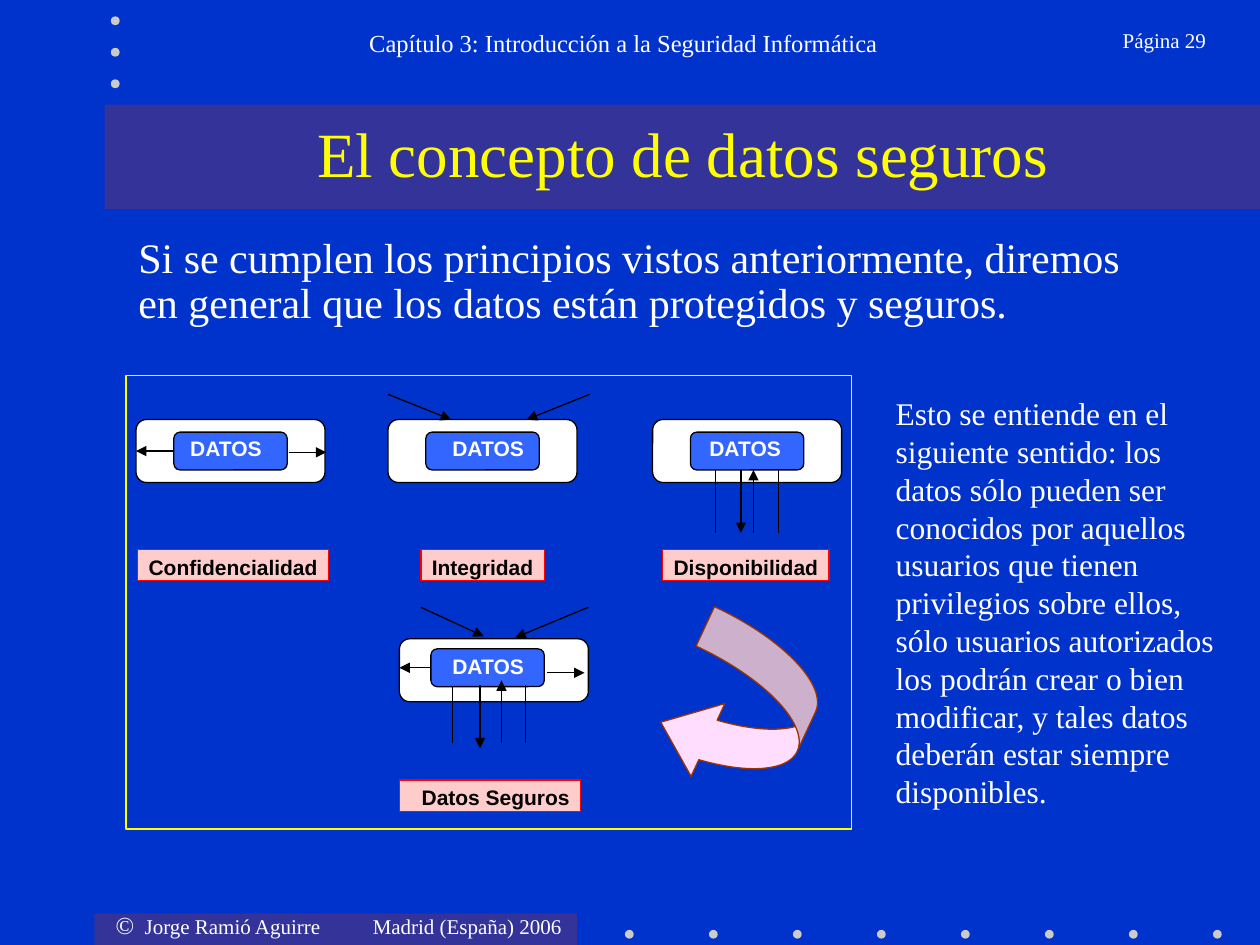
from dataclasses import dataclass

from lxml.etree import SubElement
from pptx import Presentation
from pptx.dml.color import RGBColor
from pptx.enum.shapes import MSO_CONNECTOR as Connector, MSO_SHAPE as Shape
from pptx.enum.text import MSO_ANCHOR as Anchor, PP_ALIGN as Align
from pptx.oxml.ns import qn
from pptx.util import Inches, Pt

BLUE, BAND, DOT = "0033CC", "333399", "CBCBCB"
WHITE, BLACK, YELLOW = "FFFFFF", "000000", "FFFF00"
SERIF, SANS = "Times New Roman", "Arial"
MARGINS = (0.1, 0.05)
DOT_SIZE = 0.07


@dataclass
class Label:
    text: str
    left: float
    top: float
    width: float
    indent: float = 0


@dataclass
class Line:
    start: tuple[float, float]
    end: tuple[float, float]
    arrow: bool = True


@dataclass
class DataBlock:
    shell: tuple[float, float]
    core: tuple[float, float]
    text: tuple[float, float]
    lines: list[Line]


LABELS = [
    Label("Confidencialidad", 1.09, 4.36, 1.52),
    Label("Integridad", 3.34, 4.36, 0.98),
    Label("Disponibilidad", 5.26, 4.36, 1.32),
    Label("Datos Seguros", 3.17, 6.19, 1.44, indent=0.09),
]

BLOCKS = [
    # Confidentiality
    DataBlock((1.08, 3.33), (1.38, 3.43), (1.51, 3.46), [
        Line((1.38, 3.58), (1.08, 3.58)),
        Line((2.29, 3.59), (2.59, 3.59)),
    ]),
    # Integrity
    DataBlock((3.08, 3.33), (3.38, 3.43), (3.59, 3.46), [
        Line((4.68, 3.13), (4.18, 3.33)),
        Line((3.08, 3.13), (3.58, 3.33)),
    ]),
    # Availability
    DataBlock((5.18, 3.33), (5.48, 3.43), (5.63, 3.46), [
        Line((5.88, 3.73), (5.88, 4.23)),
        Line((5.98, 4.23), (5.98, 3.73)),
        Line((5.68, 3.73), (5.68, 4.23), arrow=False),
        Line((6.18, 3.73), (6.18, 4.23), arrow=False),
    ]),
    # Secure data: all three together
    DataBlock((3.17, 5.07), (3.42, 5.15), (3.59, 5.19), [
        Line((3.34, 4.82), (3.84, 5.05)),
        Line((4.67, 4.82), (4.09, 5.06)),
        Line((3.59, 5.45), (3.59, 5.9), arrow=False),
        Line((4.17, 5.44), (4.17, 5.9), arrow=False),
        Line((3.42, 5.3), (3.17, 5.3)),
        Line((4.34, 5.34), (4.64, 5.34)),
        Line((3.81, 5.44), (3.81, 5.94)),
        Line((3.98, 5.9), (3.98, 5.4)),
    ]),
]


def color(value: str) -> RGBColor:
    return RGBColor.from_string(value)


def add_box(page, kind, left: float, top: float, width: float, height: float,
            fill: str | None = None, line: str | None = None):
    box = page.shapes.add_shape(kind, Inches(left), Inches(top), Inches(width), Inches(height))
    box.shadow.inherit = False
    if fill:
        box.fill.solid()
        box.fill.fore_color.rgb = color(fill)
    else:
        box.fill.background()
    if line:
        box.line.color.rgb = color(line)
        box.line.width = Pt(0.75)
    else:
        box.line.fill.background()
    return box


def set_frame(box, margins: tuple[float, float] = (0, 0), wrap: bool = True, anchor=Anchor.TOP):
    frame = box.text_frame
    frame.margin_left = frame.margin_right = Inches(margins[0])
    frame.margin_top = frame.margin_bottom = Inches(margins[1])
    frame.word_wrap = wrap
    frame.vertical_anchor = anchor
    return frame.paragraphs[0]


def set_font(font, size: float, name: str = SERIF, ink: str = WHITE, bold: bool = False) -> None:
    font.size, font.name, font.bold = Pt(size), name, bold
    font.color.rgb = color(ink)


def add_text(page, text: str, left: float, top: float, width: float, height: float,
             size: float, align=Align.LEFT, ink: str = WHITE, anchor=Anchor.TOP):
    box = page.shapes.add_textbox(Inches(left), Inches(top), Inches(width), Inches(height))
    para = set_frame(box, MARGINS, anchor=anchor)
    para.text = text
    para.alignment = align
    set_font(para.font, size, ink=ink)
    return para


def indent(para, length: float) -> None:
    para._p.get_or_add_pPr().set("marL", str(Inches(length)))


def add_line(page, line: Line) -> None:
    ends = [Inches(value) for value in (*line.start, *line.end)]
    connector = page.shapes.add_connector(Connector.STRAIGHT, *ends)
    connector.line.color.rgb = color(BLACK)
    connector.line.width = Pt(0.75)
    if line.arrow:
        outline = connector.line._get_or_add_ln()
        SubElement(outline, qn("a:tailEnd"), type="triangle", w="med", len="med")
    SubElement(connector._element.spPr, qn("a:effectLst"))


def add_label(page, label: Label) -> None:
    box = add_box(page, Shape.RECTANGLE, label.left, label.top, label.width, 0.25,
                  "FFCCCC", "FF0000")
    para = set_frame(box)
    para.text = label.text
    para.alignment = Align.CENTER
    para.line_spacing = 1.2
    indent(para, label.indent)
    set_font(para.font, 12, SANS, BLACK, bold=True)


def add_block(page, block: DataBlock) -> None:
    add_box(page, Shape.ROUNDED_RECTANGLE, *block.shell, 1.5, 0.5, WHITE, BLACK)
    add_box(page, Shape.ROUNDED_RECTANGLE, *block.core, 0.9, 0.3, "3366FF", BLACK)
    left, top = block.text
    box = page.shapes.add_textbox(Inches(left), Inches(top), Inches(0.58), Inches(0.2))
    para = set_frame(box, wrap=False)
    para.text = "DATOS"
    set_font(para.font, 12, SANS, bold=True)
    for line in block.lines:
        add_line(page, line)


def add_footer(page) -> None:
    box = page.shapes.add_textbox(Inches(0.82), Inches(7.17), Inches(3.85), Inches(0.34))
    para = set_frame(box, MARGINS)
    stops = SubElement(para._p.get_or_add_pPr(), qn("a:tabLst"))
    for stop in (0.23, 2.04):
        SubElement(stops, qn("a:tab"), pos=str(Inches(stop)), algn="l")
    for text, size in (("©", 14), ("\tJorge Ramió Aguirre\tMadrid (España) 2006", 12)):
        span = para.add_run()
        span.text = text
        set_font(span.font, size)


def main() -> None:
    deck = Presentation()
    deck.slide_width, deck.slide_height = Inches(10), Inches(7.5)
    page = deck.slides.add_slide(deck.slide_layouts[6])
    page.background.fill.solid()
    page.background.fill.fore_color.rgb = color(BLUE)

    # Bands and dots
    add_box(page, Shape.RECTANGLE, 0.75, 7.25, 3.83, 0.25, BAND)
    add_box(page, Shape.RECTANGLE, 0.83, 0.83, 9.17, 0.83, BAND)
    dots = [(4.96 + i * 2 / 3, 7.38) for i in range(8)]
    dots += [(0.88, 0.13 + i * 0.25) for i in range(3)]
    for left, top in dots:
        add_box(page, Shape.OVAL, left, top, DOT_SIZE, DOT_SIZE, DOT)

    # Header and footer
    add_footer(page)
    add_text(page, "Página 29", 8.3, 0.17, 1.37, 0.5, 12, Align.RIGHT)
    chapter = add_text(page, "Capítulo 3: Introducción a la Seguridad Informática",
                       1.58, 0.17, 6.5, 0.5, 14, Align.CENTER)
    indent(chapter, 0.24)

    # Title and texts
    add_text(page, "El concepto de datos seguros", 1.17, 0.83, 8.5, 0.75, 36,
             Align.CENTER, YELLOW, Anchor.MIDDLE)
    intro = add_text(page, "Si se cumplen los principios vistos anteriormente, diremos en general "
                     "que los datos están protegidos y seguros.", 1, 1.83, 8, 0.92, 24)
    intro.line_spacing = 0.9
    add_text(page, "Esto se entiende en el siguiente sentido: los datos sólo pueden ser conocidos "
             "por aquellos usuarios que tienen privilegios sobre ellos, sólo usuarios autorizados "
             "los podrán crear o bien modificar, y tales datos deberán estar siempre disponibles.",
             7.01, 3.08, 2.74, 3.4, 18)

    # Diagram
    for label in LABELS:
        add_label(page, label)
    for block in BLOCKS:
        add_block(page, block)
    swoosh = add_box(page, Shape.CURVED_LEFT_ARROW, 5.34, 4.98, 1.08, 1.33, "FFDDFF", "993300")
    swoosh.rotation = 24.9
    for index, value in enumerate((0.32, 0.59, 0.37)):
        swoosh.adjustments[index] = value
    add_box(page, Shape.RECTANGLE, 1, 2.98, 5.76, 3.6, line=YELLOW)

    deck.save("out.pptx")


if __name__ == "__main__":
    main()
